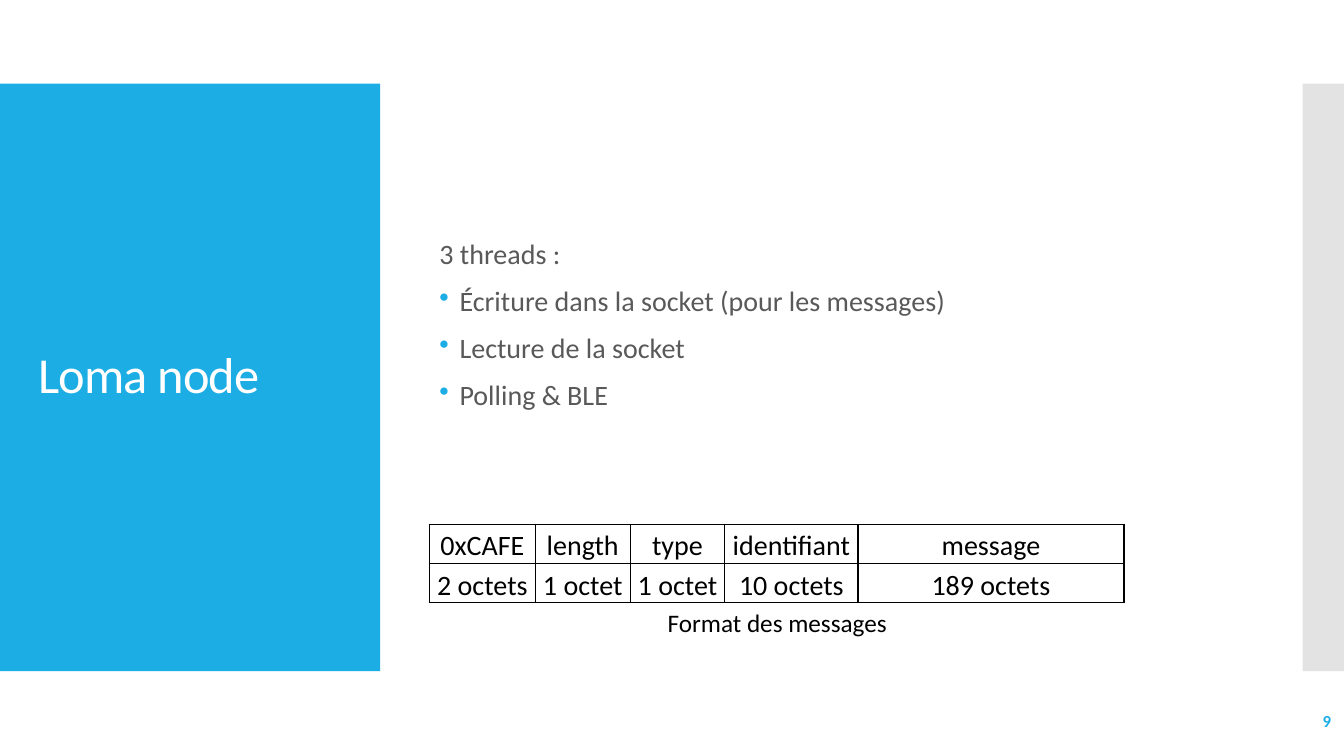
from lxml import etree
from pptx import Presentation
from pptx import util as u
from pptx.dml.color import RGBColor
from pptx.enum import shapes, text
from pptx.oxml import ns

PX = 9144
BLUE, GREY, INK, BLACK, WHITE = "1CADE4", "C8C8C8", "595959", "000000", "FFFFFF"


def px(*lengths):
    return [u.Emu(length * PX) for length in lengths]


def color(value):
    return RGBColor.from_string(value)


def add_xml(parent, tag, **attributes):
    return etree.SubElement(parent, ns.qn(tag), attributes)


class SlideBuilder:
    font = "Calibri"

    def __init__(self, presentation):
        self.slide = presentation.slides.add_slide(presentation.slide_layouts[6])

    def style(self, paragraph, size, ink, align="LEFT", spacing=None, bold=False):
        paragraph.font.name = self.font
        paragraph.font.size = u.Pt(size)
        paragraph.font.color.rgb = color(ink)
        paragraph.font.bold = bold
        paragraph.alignment = getattr(text.PP_ALIGN, align)
        paragraph.line_spacing = spacing

    def panel(self, box, fill, opacity=100):
        shape = self.slide.shapes.add_shape(shapes.MSO_SHAPE.RECTANGLE, *px(*box))
        shape.shadow.inherit = False
        shape.fill.solid()
        shape.fill.fore_color.rgb = color(fill)
        shape.line.fill.background()
        if opacity < 100:
            solid = shape.fill._xPr.find(ns.qn("a:solidFill"))
            add_xml(solid[0], "a:alpha", val=str(opacity * 1000))

    def text(self, box, lines, size, ink, anchor="MIDDLE", **style):
        frame = self.slide.shapes.add_textbox(*px(*box)).text_frame
        frame.word_wrap = True
        frame.vertical_anchor = getattr(text.MSO_ANCHOR, anchor)
        frame.text = "\n".join(lines)
        for paragraph in frame.paragraphs:
            self.style(paragraph, size, ink, **style)
        return frame.paragraphs

    def title(self, box, line):
        paragraph = self.text(box, [line], 36, WHITE, spacing=0.9)[0]
        paragraph.runs[0].font._element.set("spc", "-60")

    def bullets(self, box, heading, items):
        paragraphs = self.text(box, [heading, *items], 20, INK, spacing=0.9)
        for paragraph in paragraphs:
            paragraph.space_before = u.Pt(12)
        for paragraph in paragraphs[1:]:
            properties = paragraph._p.get_or_add_pPr()
            indent = 20 * PX
            properties.set("marL", str(indent))
            properties.set("indent", str(-indent))
            bullet_color = etree.Element(ns.qn("a:buClr"))
            add_xml(bullet_color, "a:srgbClr", val=BLUE)
            bullet = etree.Element(ns.qn("a:buChar"), char="•")
            position = properties.index(properties.find(ns.qn("a:defRPr")))
            properties[position:position] = [bullet_color, bullet]

    def table(self, box, widths, row_height, rows):
        frame = self.slide.shapes.add_table(len(rows), len(widths), *px(*box))
        table = frame.table
        table.first_row = table.horz_banding = False
        for column, width in zip(table.columns, widths):
            column.width = u.Emu(width * PX)
        for row, values in zip(table.rows, rows):
            row.height = u.Emu(row_height * PX)
            for cell, value in zip(row.cells, values):
                self.cell(cell, value)

    def cell(self, cell, value):
        cell.text = value
        cell.vertical_anchor = text.MSO_ANCHOR.MIDDLE
        cell.margin_left = cell.margin_right = u.Emu(5 * PX)
        cell.margin_top = cell.margin_bottom = 0
        self.style(cell.text_frame.paragraphs[0], 20, BLACK, "CENTER", 1.15)
        properties = cell._tc.get_or_add_tcPr()
        for side in "LRTB":
            line = add_xml(properties, f"a:ln{side}", w=str(u.Pt(1)))
            add_xml(add_xml(line, "a:solidFill"), "a:srgbClr", val=BLACK)
        cell.fill.background()


def main():
    presentation = Presentation()
    presentation.slide_width, presentation.slide_height = px(1333, 750)
    builder = SlideBuilder(presentation)
    builder.panel((0, 83, 377, 583), BLUE)
    builder.panel((1292, 83, 41, 583), GREY, opacity=50)
    builder.title((28, 123, 322, 503), "Loma node")
    builder.table((426, 520, 689, 78), (105, 94, 94, 132, 264), 39, (
        ("0xCAFE", "length", "type", "identifiant", "message"),
        ("2 octets", "1 octet", "1 octet", "10 octets", "189 octets"),
    ))
    builder.bullets((426, 156, 714, 334), "3 threads :", (
        "Écriture dans la socket (pour les messages)",
        "Lecture de la socket",
        "Polling & BLE",
    ))
    builder.text((603, 598, 336, 40), ["Format des messages"], 18, BLACK,
                 anchor="TOP", align="CENTER")
    builder.text((1163, 695, 167, 40), ["9"], 12, BLUE, align="RIGHT", bold=True)
    presentation.save("out.pptx")


if __name__ == "__main__":
    main()
